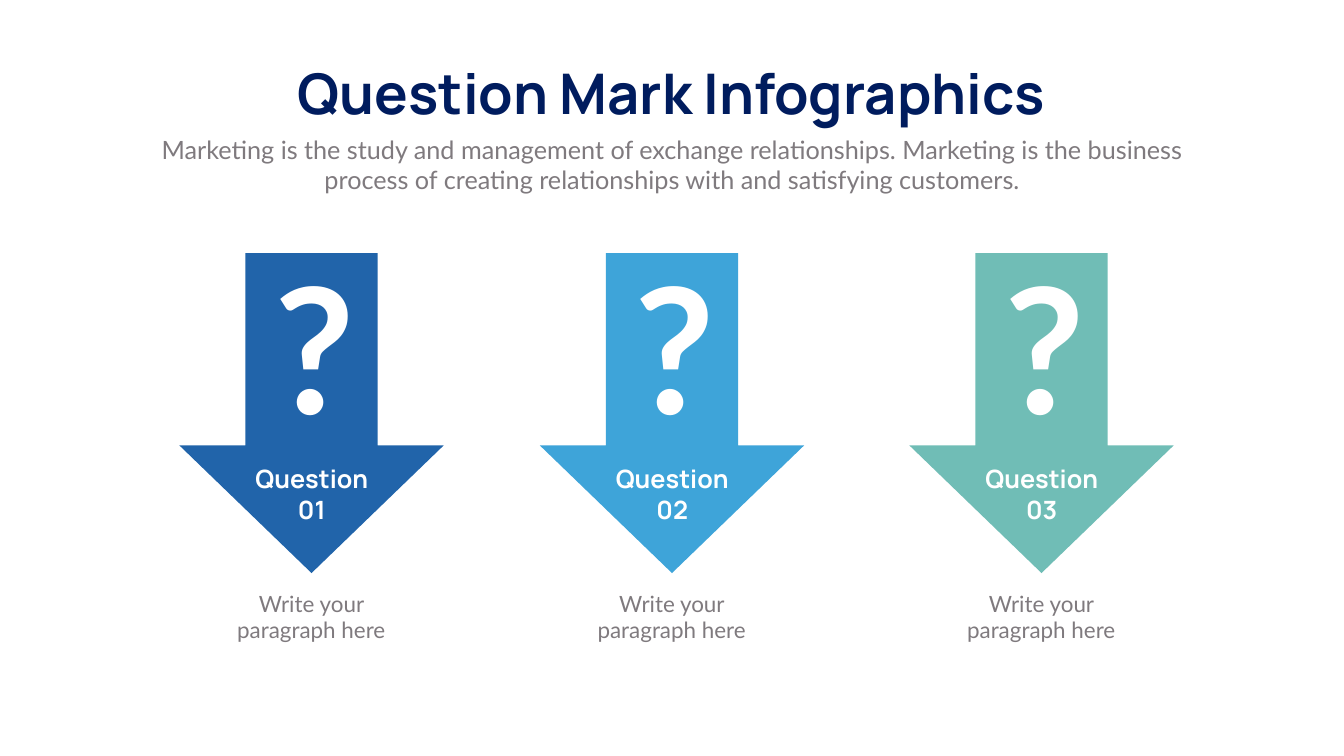
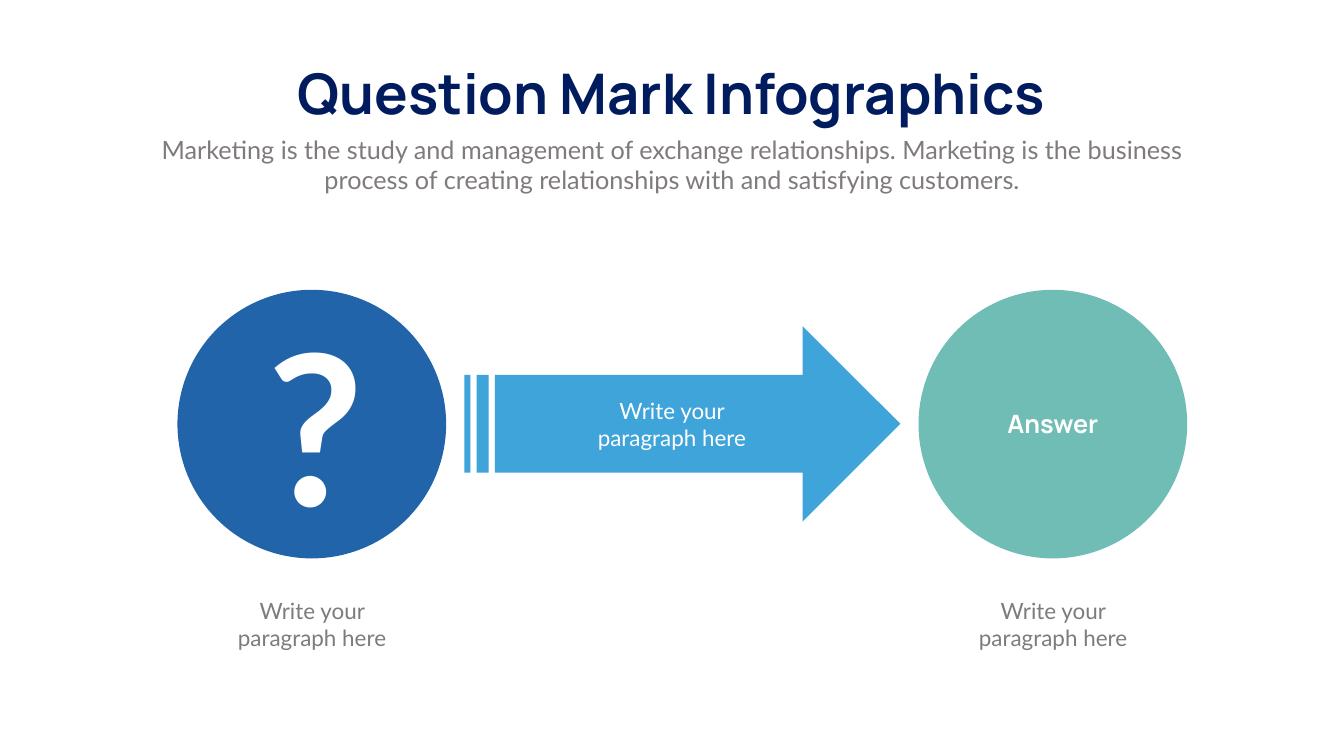
from dataclasses import dataclass
from pptx import Presentation
from pptx.dml.color import RGBColor
from pptx.enum.shapes import MSO_SHAPE as Preset
from pptx.enum.text import MSO_AUTO_SIZE as AutoSize, PP_ALIGN as Align
from pptx.util import Inches, Pt


@dataclass(frozen=True)
class Theme:
    navy: str = "001C5E"
    gray: str = "7F7A7E"
    white: str = "FFFFFF"
    blue: str = "2164AA"
    sky: str = "3EA4D9"
    teal: str = "70BDB6"
    heading_font: str = "Manrope"
    body_font: str = "Lato"
    title_size: int = 80
    label_size: int = 36
    body_size: int = 32


theme = Theme()
TITLE = "Question Mark Infographics"
SUBTITLE = ("Marketing is the study and management of exchange relationships. "
            "Marketing is the business process of creating relationships "
            "with and satisfying customers.")
CAPTION = "Write your paragraph here"


def add_text(slide, box, lines, size, color, heading=False, bold=False, wrap=True):
    text_box = slide.shapes.add_textbox(*[Inches(value) for value in box])
    frame = text_box.text_frame
    frame.word_wrap = wrap
    frame.auto_size = AutoSize.SHAPE_TO_FIT_TEXT
    for index, line in enumerate(lines):
        paragraph = frame.add_paragraph() if index else frame.paragraphs[0]
        paragraph.alignment = Align.CENTER
        run = paragraph.add_run()
        run.text = line
        run.font.name = theme.heading_font if heading else theme.body_font
        run.font.size = Pt(size)
        run.font.bold = bold
        run.font.color.rgb = RGBColor.from_string(color)


def add_block(slide, preset, box, color):
    shape = slide.shapes.add_shape(preset, *[Inches(value) for value in box])
    shape.shadow.inherit = False
    shape.fill.solid()
    shape.fill.fore_color.rgb = RGBColor.from_string(color)
    shape.line.fill.background()
    return shape


presentation = Presentation()
presentation.slide_width = Inches(26.66)
presentation.slide_height = Inches(15)

# Shared heading on both slides
slides = []
for _ in range(2):
    slide = presentation.slides.add_slide(presentation.slide_layouts[6])
    slide.background.fill.solid()
    slide.background.fill.fore_color.rgb = RGBColor.from_string(theme.white)
    add_text(slide, (4.9, 1.12, 16.85, 1.45), [TITLE], theme.title_size,
             theme.navy, heading=True, bold=True, wrap=False)
    add_text(slide, (2.92, 2.61, 20.82, 1.31), [SUBTITLE],
             theme.label_size, theme.gray)
    slides.append(slide)
questions_slide, answer_slide = slides

# Slide 1: three question arrows with captions
arrows = [(3.56, theme.blue), (10.71, theme.sky), (18.04, theme.teal)]
for number, (left, color) in enumerate(arrows, start=1):
    arrow = add_block(questions_slide, Preset.DOWN_ARROW, (left, 5.02, 5.24, 6.35), color)
    arrow.adjustments[0] = 0.5
    arrow.adjustments[1] = 0.483
    add_text(questions_slide, (left + 1.78, 4.71, 1.68, 4.31), ["?"], 250,
             theme.white, bold=True, wrap=False)
    add_text(questions_slide, (left + 0.77, 9.15, 3.71, 1.31),
             ["Question", f"{number:02}"], theme.label_size, theme.white,
             heading=True, bold=True)
    add_text(questions_slide, (left + 0.48, 11.65, 4.27, 1.2), [CAPTION],
             theme.body_size, theme.gray)

# Slide 2: question and answer circles with captions
for left, color in [(3.52, theme.blue), (18.22, theme.teal)]:
    add_block(answer_slide, Preset.OVAL, (left, 5.75, 5.33, 5.33), color)
    add_text(answer_slide, (left + 0.77, 11.8, 3.8, 1.18), [CAPTION],
             theme.body_size, theme.gray)
add_text(answer_slide, (5.2, 5.84, 1.97, 5.15), ["?"], 300,
         theme.white, bold=True, wrap=False)
add_text(answer_slide, (19.72, 8.05, 2.33, 0.72), ["Answer"], theme.label_size,
         theme.white, heading=True, bold=True)

# Slide 2: arrow from question to answer
add_block(answer_slide, Preset.STRIPED_RIGHT_ARROW, (9.21, 6.47, 8.65, 3.88), theme.sky)
add_text(answer_slide, (11.43, 7.83, 3.8, 1.18), [CAPTION],
         theme.body_size, theme.white)

presentation.save("out.pptx")
